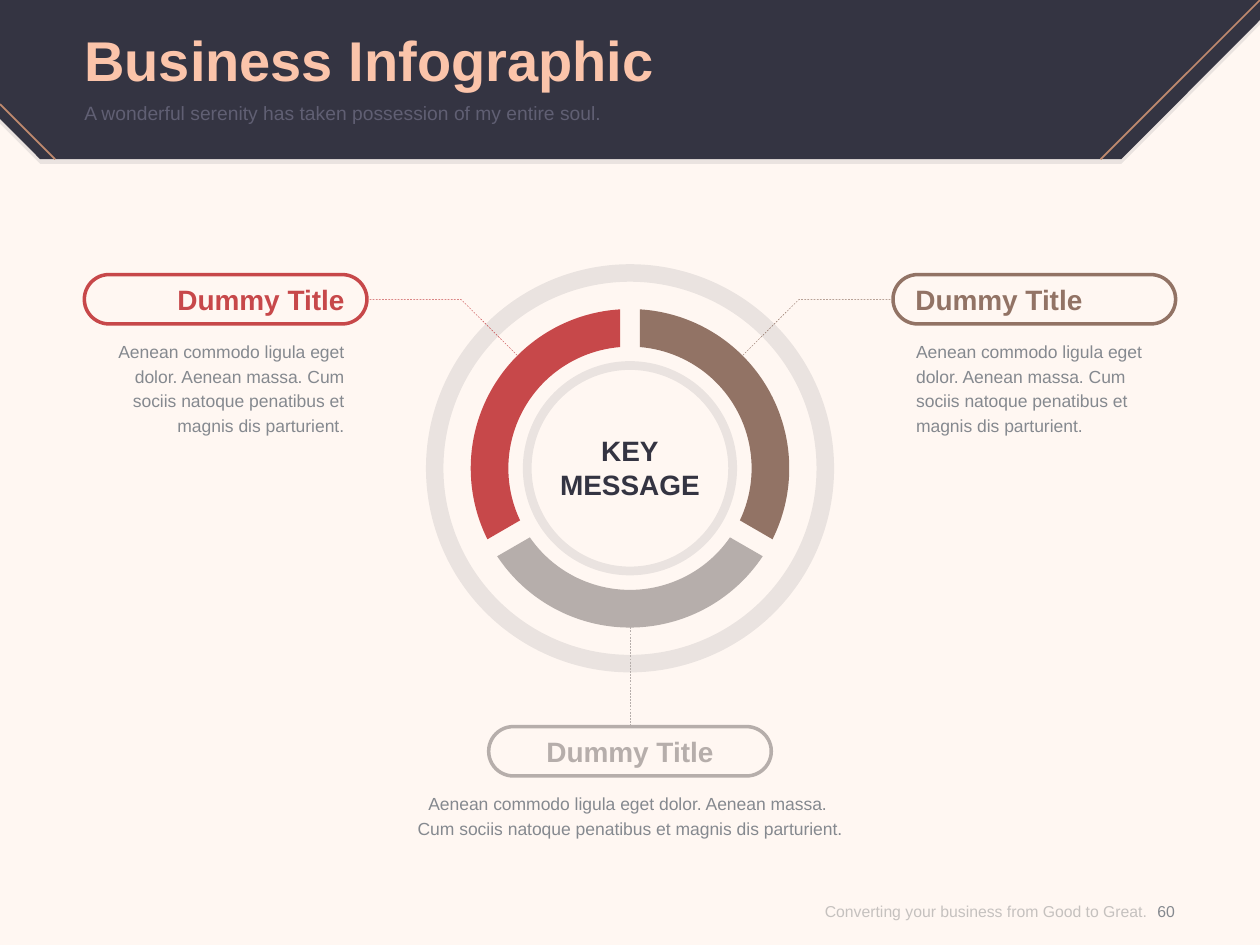
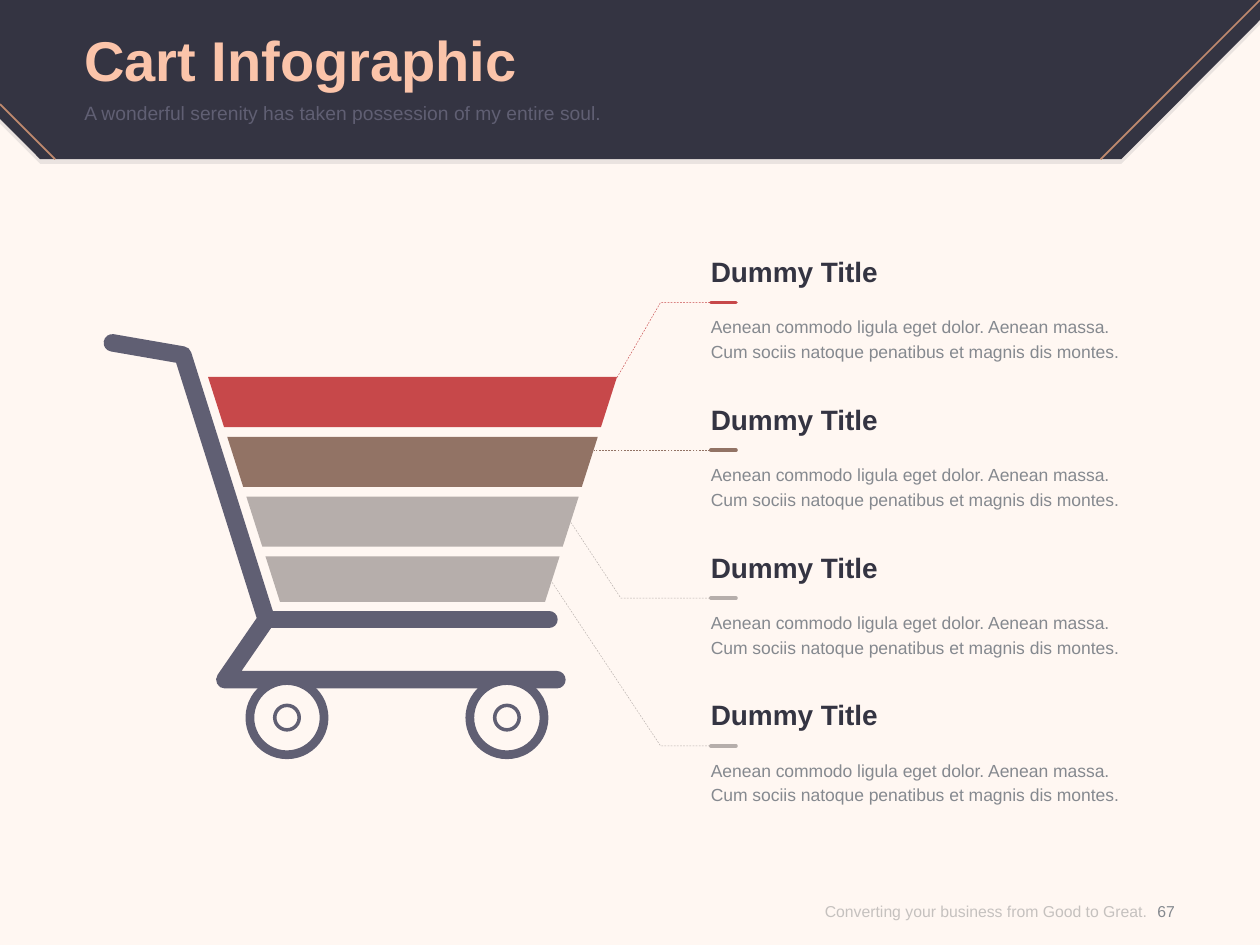
from math import asin, cos, radians, sin, tan

from lxml.etree import SubElement
from pptx import Presentation
from pptx.dml.color import RGBColor
from pptx.enum.dml import MSO_LINE
from pptx.enum.shapes import MSO_CONNECTOR, MSO_SHAPE
from pptx.enum.text import MSO_ANCHOR, PP_ALIGN
from pptx.oxml.ns import qn
from pptx.util import Pt

CREAM = RGBColor(0xFF, 0xF7, 0xF2)
NAVY = RGBColor(0x34, 0x34, 0x42)
SLATE = RGBColor(0x60, 0x5F, 0x73)
PEACH = RGBColor(0xFB, 0xC4, 0xAA)
COPPER = RGBColor(0xBF, 0x89, 0x6E)
RED = RGBColor(0xC7, 0x48, 0x4A)
BROWN = RGBColor(0x92, 0x73, 0x65)
TAUPE = RGBColor(0xB6, 0xAE, 0xAB)
GREY = RGBColor(0x85, 0x89, 0x8F)
FOOTER_GREY = RGBColor(0x8C, 0x8C, 0x8C)

FONT = "Arial"
WIDTH, HEIGHT = 720, 540
MARGIN = 48.2
LEFT, CENTER, RIGHT = PP_ALIGN.LEFT, PP_ALIGN.CENTER, PP_ALIGN.RIGHT


def paint(fill, color, alpha=None):
    """Fill with a solid colour, alpha being its opacity in percent."""
    fill.solid()
    fill.fore_color.rgb = color
    if alpha is not None:
        clr = fill._xPr.find(".//" + qn("a:srgbClr"))
        SubElement(clr, qn("a:alpha")).set("val", str(alpha * 1000))


def style(sp, fill=None, line=None, weight=1.0, alpha=None):
    sp.shadow.inherit = False
    if fill is None:
        sp.fill.background()
    else:
        paint(sp.fill, fill, alpha)
    if line is None:
        sp.line.fill.background()
    else:
        sp.line.color.rgb = line
        sp.line.width = Pt(weight)
    return sp


def shape(slide, kind, x, y, w, h, **look):
    sp = slide.shapes.add_shape(kind, Pt(x), Pt(y), Pt(w), Pt(h))
    return style(sp, **look)


def outline(slide, points, close=True, **look):
    pts = [(Pt(x), Pt(y)) for x, y in points]
    builder = slide.shapes.build_freeform(*pts[0], scale=1.0)
    builder.add_line_segments(pts[1:], close=close)
    return style(builder.convert_to_shape(), **look)


def line(slide, start, end, color, weight=1.0):
    c = slide.shapes.add_connector(
        MSO_CONNECTOR.STRAIGHT, *(Pt(v) for v in (*start, *end)))
    c.line.color.rgb = color
    c.line.width = Pt(weight)
    SubElement(c._element.spPr, qn("a:effectLst"))
    return c


def leader(slide, points, color):
    """Thin dashed line: a connector if straight, a freeform if it bends."""
    if len(points) == 2:
        sp = line(slide, *points, color, 0.25)
    else:
        sp = outline(slide, points, close=False, line=color, weight=0.25)
    sp.line.dash_style = MSO_LINE.DASH
    return sp


def text(slide, x, y, w, h, *lines, size, color, bold=False, align=LEFT,
         anchor=MSO_ANCHOR.TOP, spacing=None, alpha=None):
    tf = slide.shapes.add_textbox(Pt(x), Pt(y), Pt(w), Pt(h)).text_frame
    tf.word_wrap = True
    tf.vertical_anchor = anchor
    tf.margin_left = tf.margin_right = tf.margin_top = tf.margin_bottom = 0
    for i, content in enumerate(lines):
        p = tf.add_paragraph() if i else tf.paragraphs[0]
        p.alignment = align
        if spacing:
            p.line_spacing = Pt(spacing)
        r = p.add_run()
        r.text = content
        r.font.name, r.font.size, r.font.bold = FONT, Pt(size), bold
        paint(r.font.fill, color, alpha)


def band(slide, h=91):
    edge = [(0, 0), (WIDTH, 0), (WIDTH, 11.5), (640.8, h), (23, h),
            (0, h - 23)]
    outline(slide, [(x, y + 2.7) for x, y in edge], fill=NAVY, alpha=10)
    outline(slide, edge, fill=NAVY)
    line(slide, (WIDTH, 0), (WIDTH - h, h), COPPER)
    line(slide, (31.5, h), (0, h - 31.5), COPPER)


def base_slide(prs, title, number):
    slide = prs.slides.add_slide(prs.slide_layouts[6])
    paint(slide.background.fill, CREAM)
    band(slide)
    text(slide, MARGIN, 10, 623.5, 47, title, size=32, color=PEACH, bold=True,
         anchor=MSO_ANCHOR.MIDDLE)
    text(slide, MARGIN, 58, 623.5, 28,
         "A wonderful serenity has taken possession of my entire soul.",
         size=11, color=SLATE)
    text(slide, 435, 501, 220.4, 39,
         "Converting your business from Good to Great.", size=9,
         color=FOOTER_GREY, alpha=50, align=RIGHT, anchor=MSO_ANCHOR.MIDDLE)
    text(slide, 649.3, 501, 34, 39, number, size=9, color=GREY, align=CENTER,
         anchor=MSO_ANCHOR.MIDDLE)
    return slide


def ring(slide, cx, cy, radius, thickness):
    sp = shape(slide, MSO_SHAPE.DONUT, cx - radius, cy - radius,
               2 * radius, 2 * radius, fill=NAVY, alpha=10)
    sp.adjustments[0] = thickness / (2 * radius)


def arc_points(cx, cy, radius, start, end, curves=3):
    """Points and handles of the Bezier curves along an arc, in radians."""
    step = (end - start) / curves
    reach = 4 / 3 * tan(step / 4)

    def at(a, pull=0):
        return (cx + radius * (cos(a) - pull * sin(a)),
                cy + radius * (sin(a) + pull * cos(a)))

    points = [at(start)]
    for i in range(curves):
        a, b = start + i * step, start + (i + 1) * step
        points += [at(a, reach), at(b, -reach), at(b)]
    return points


def ring_segment(slide, cx, cy, start, color, outer=91, inner=69.5, gap=11.2):
    """Third of a ring, clockwise from start degrees, with parallel gaps."""
    first, last = radians(start), radians(start + 120)
    trim_out, trim_in = (asin(gap / 2 / r) for r in (outer, inner))
    there = arc_points(cx, cy, outer, first + trim_out, last - trim_out)
    back = arc_points(cx, cy, inner, last - trim_in, first + trim_in)
    sp = outline(slide, there + back, fill=color)

    # Turn each three straight steps along an arc into one cubic curve.
    track = sp._element.find(".//" + qn("a:path"))
    steps = track.findall(qn("a:lnTo"))
    for i in (0, 3, 6, 10, 13, 16):
        steps[i].tag = qn("a:cubicBezTo")
        for extra in steps[i + 1:i + 3]:
            steps[i].append(extra[0])
            track.remove(extra)


def key_wheel(slide, cx, cy):
    ring(slide, cx, cy, 61.2, 5)
    ring(slide, cx, cy, 116.6, 10)
    for start, color in ((-90, BROWN), (30, TAUPE), (150, RED)):
        ring_segment(slide, cx, cy, start, color)
    text(slide, cx - 66.5, cy - 19.8, 133, 39, "KEY", "MESSAGE", size=16,
         color=NAVY, bold=True, align=CENTER)


def pill_callout(slide, x, y, color, align, body, body_dx, body_w, body_h):
    text(slide, x + body_dx, y + 36, body_w, body_h, *body, size=10,
         color=GREY, align=align, spacing=14)
    text(slide, x + 12.8, y + 4.3, 135.9, 19.4, "Dummy Title", size=16,
         color=color, bold=True, align=align)
    pill = shape(slide, MSO_SHAPE.ROUNDED_RECTANGLE, x, y, 161.5, 28.2,
                 line=color, weight=2)
    pill.adjustments[0] = 0.5
    return pill


def business_slide(prs):
    slide = base_slide(prs, "Business Infographic", "60")
    cx, cy = WIDTH / 2, 267.6
    top, pill_w = 156.9, 161.5
    bend_y = top + 14.3
    key_wheel(slide, cx, cy)
    for side, color in ((-1, RED), (1, BROWN)):
        leader(slide, [(cx + side * dx, y) for dx, y in
                       ((64.5, 203), (96.5, bend_y), (149, bend_y))], color)

    sentences = ("Aenean commodo ligula eget dolor. Aenean massa. ",
                 "Cum sociis natoque penatibus et magnis dis parturient.")
    paragraph = ["".join(sentences)]
    pill_callout(slide, MARGIN, top, RED, RIGHT, paragraph, 9.4, 139, 57)
    pill_callout(slide, WIDTH - MARGIN - pill_w, top, BROWN, LEFT, paragraph,
                 13.2, 139, 57)
    pill = pill_callout(slide, cx - pill_w / 2, 415.2, TAUPE, CENTER,
                        sentences, -46.8, 255, 27.5)
    leader(slide, [(cx, 358.5), (cx, 415.2)], TAUPE).end_connect(pill, 0)


def basket(slide, x, y, w, colors, pitch=34.2, slope=0.32):
    """Stacked bars whose sides all lie on two slanting lines."""
    for i, color in enumerate(colors):
        upper = i * pitch
        lower = upper + (26 if i == len(colors) - 1 else 28.6)
        outline(slide, [(x + slope * upper, y + upper),
                        (x + w - slope * upper, y + upper),
                        (x + w - slope * lower, y + lower),
                        (x + slope * lower, y + lower)], fill=color)


def disc(slide, cx, cy, diameter, weight):
    shape(slide, MSO_SHAPE.OVAL, cx - diameter / 2, cy - diameter / 2,
          diameter, diameter, fill=CREAM, line=SLATE, weight=weight)


def cart_frame(slide, x, y):
    """Cart of round-ended bars, x and y being the tip of its handle."""
    joint = (88, 158.1)
    handle_and_base = [(0, 0), (40.3, 7), joint, (64.3, 192.5), (254, 192.5)]
    shelf = [joint, (249.5, 158.1)]
    for bar in (handle_and_base, shelf):
        sp = outline(slide, [(x + dx, y + dy) for dx, dy in bar], close=False,
                     line=SLATE, weight=10)
        ln = sp.line._get_or_add_ln()
        ln.set("cap", "rnd")
        SubElement(ln, qn("a:round"))
    for dx in (99.8, 225.5):
        disc(slide, x + dx, y + 214.2, 42.4, 5)
        disc(slide, x + dx, y + 214.2, 14, 2)


def dash_callout(slide, x, y, color):
    """Title above and text below a short dash that starts at x, y."""
    text(slide, x, y + 6, 265.5, 28,
         "Aenean commodo ligula eget dolor. Aenean massa.",
         "Cum sociis natoque penatibus et magnis dis montes.",
         size=10, color=GREY, spacing=14)
    dash = line(slide, (x, y), (x + 14.4, y), color, 2)
    dash.line._get_or_add_ln().set("cap", "rnd")
    text(slide, x, y - 27.4, 265.5, 19.4, "Dummy Title", size=16, color=NAVY,
         bold=True)


def cart_slide(prs):
    slide = base_slide(prs, "Cart Infographic", "67")
    colors = (RED, BROWN, TAUPE, TAUPE)
    # Bend x (None where straight) and the point on the basket.
    routes = ((377.5, (352.6, 215.8)), (None, (339.4, 257.3)),
              (354.8, (326.3, 298.6)), (377.5, (315.5, 332.8)))
    for i, (color, (bend_x, target)) in enumerate(zip(colors, routes)):
        y = 172.8 + 84.5 * i
        bend = [] if bend_x is None else [(bend_x, y)]
        leader(slide, [(418.2, y), *bend, target], color)
        dash_callout(slide, 406.2, y, color)
    basket(slide, 118.9, 215.4, 233.7, colors)
    cart_frame(slide, 64.2, 195.9)


def main():
    prs = Presentation()
    prs.slide_width, prs.slide_height = Pt(WIDTH), Pt(HEIGHT)
    business_slide(prs)
    cart_slide(prs)
    prs.save("out.pptx")


if __name__ == "__main__":
    main()
